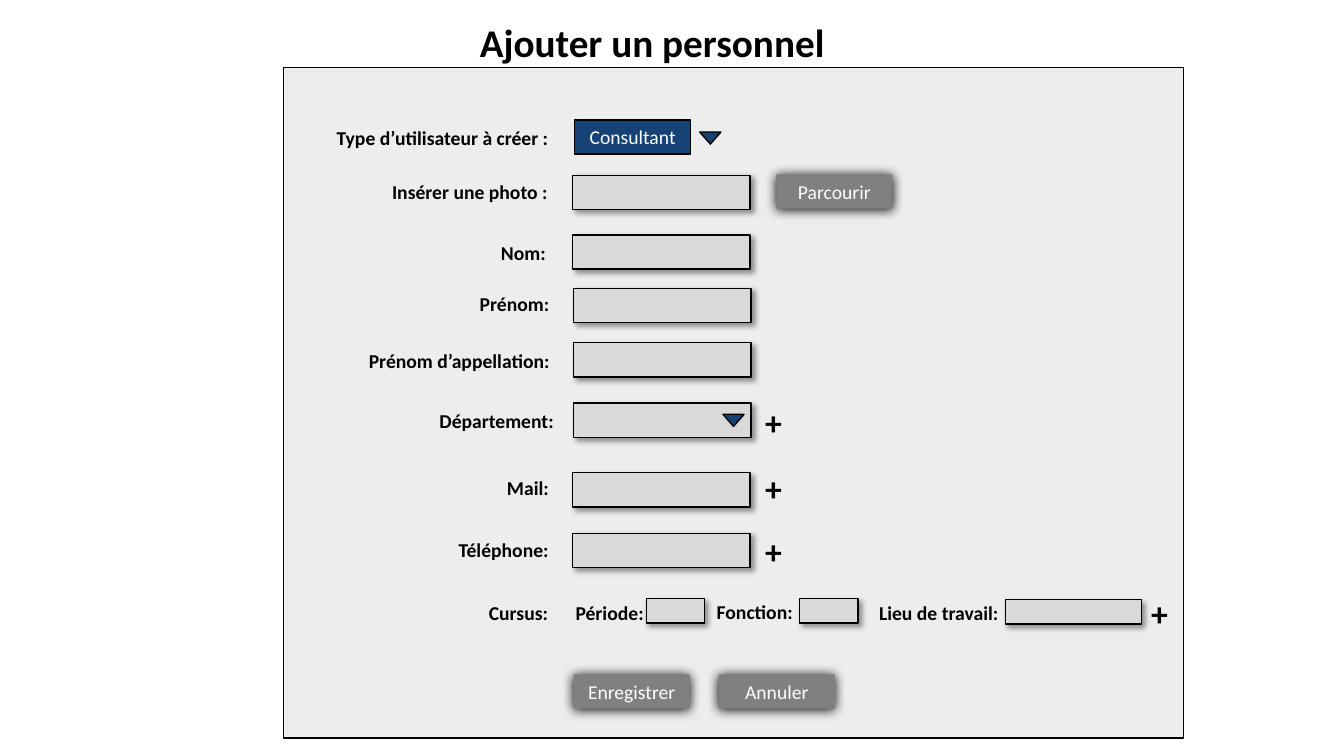
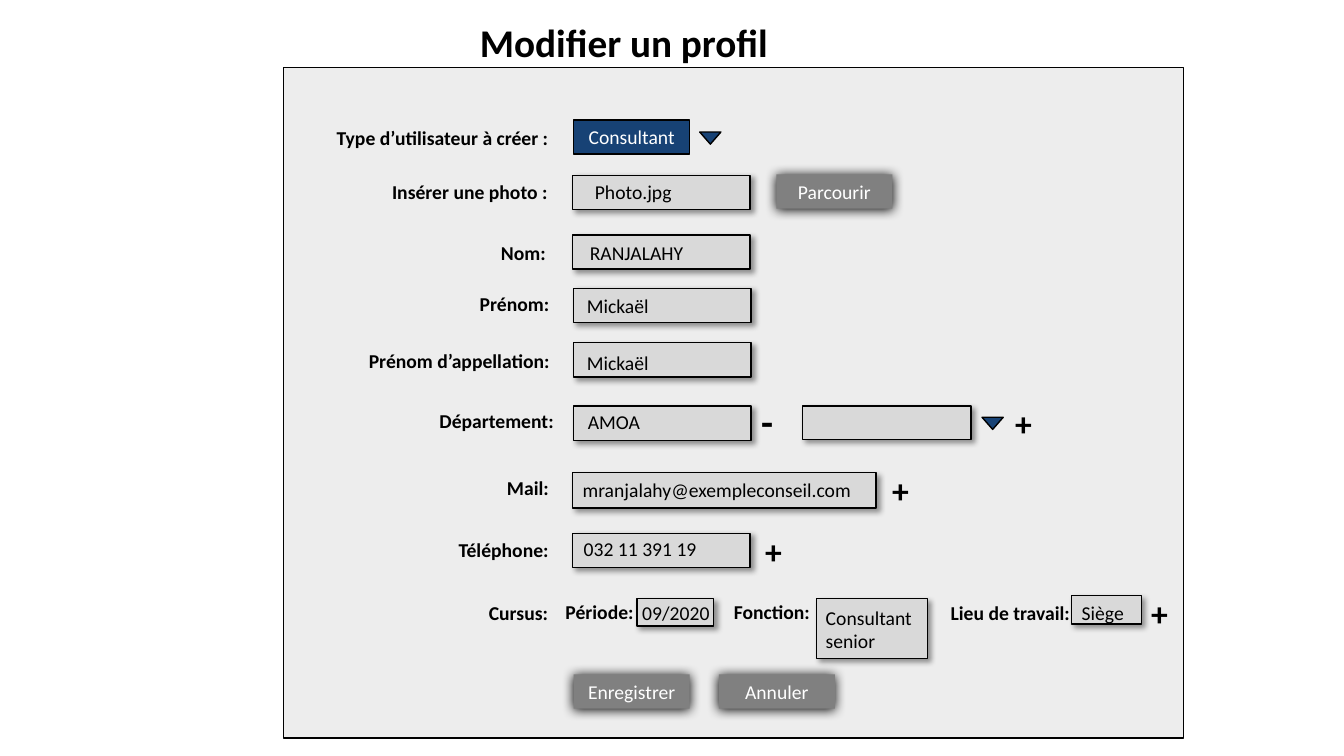
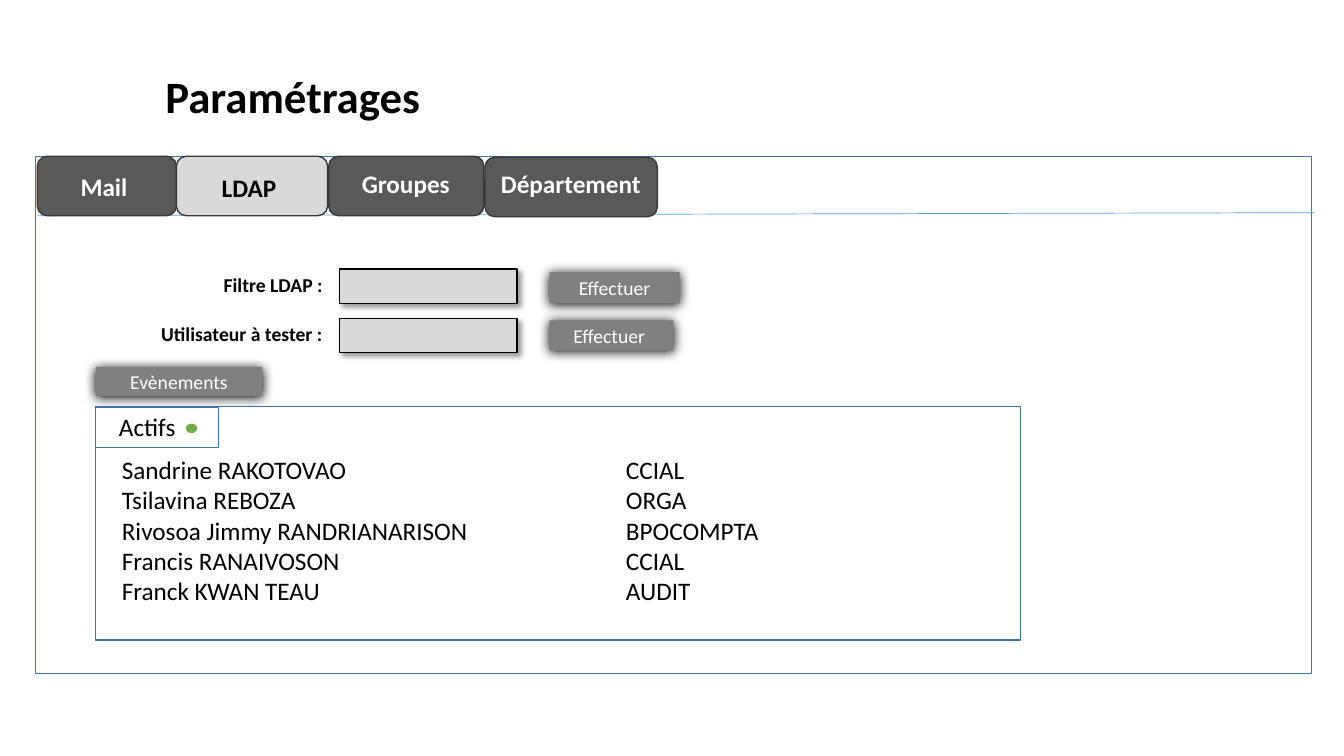
from dataclasses import dataclass

from lxml.etree import SubElement
from pptx import Presentation
from pptx.dml.color import RGBColor
from pptx.enum.shapes import MSO_CONNECTOR, MSO_SHAPE
from pptx.enum.text import MSO_ANCHOR, MSO_AUTO_SIZE, PP_ALIGN
from pptx.oxml.ns import qn
from pptx.util import Inches, Pt


@dataclass(frozen=True)
class Theme:
    font: str = "Calibri"
    black: str = "000000"
    white: str = "FFFFFF"
    panel: str = "EDEDED"
    field: str = "D9D9D9"
    button: str = "808080"
    navy: str = "174275"
    frame: str = "43739E"
    rule: str = "5B9BD5"
    tab: str = "595959"
    tab_edge: str = "3B3838"
    active: str = "70AD47"
    body: int = 14
    large: int = 18
    sign: int = 24
    title: int = 28
    page_title: int = 32


THEME = Theme()
MARGINS = (0.1, 0.05, 0.1, 0.05)
# Shadows: opacity %, blur pt, distance pt, direction in degrees
FIELD_SHADOW = (40, 4, 3, 45)
BUTTON_SHADOW = (100, 8.5, 1, 90)


def set_attributes(target, values):
    for name, value in values.items():
        setattr(target, name, value)


def write(shape, text, size=THEME.body, color=THEME.black, bold=False,
          align=PP_ALIGN.LEFT, anchor=MSO_ANCHOR.TOP, margins=MARGINS,
          auto_size=MSO_AUTO_SIZE.NONE):
    """Fill a shape with text, one paragraph for each line."""
    frame = shape.text_frame
    frame.text = text
    left, top, right, bottom = map(Inches, margins)
    set_attributes(frame, {
        "word_wrap": True, "auto_size": auto_size, "vertical_anchor": anchor,
        "margin_left": left, "margin_top": top,
        "margin_right": right, "margin_bottom": bottom})
    for paragraph in frame.paragraphs:
        paragraph.alignment = align
        for run in paragraph.runs:
            set_attributes(run.font, {"name": THEME.font, "size": Pt(size), "bold": bold})
            run.font.color.rgb = RGBColor.from_string(color)


def add_shadow(shape, opacity, blur, distance, direction):
    effects = shape._element.spPr.find(qn("a:effectLst"))
    shadow = SubElement(effects, qn("a:outerShdw"), {
        "blurRad": str(Pt(blur)), "dist": str(Pt(distance)),
        "dir": str(direction * 60000), "algn": "ctr", "rotWithShape": "0"})
    color = SubElement(shadow, qn("a:srgbClr"), val=THEME.black)
    SubElement(color, qn("a:alpha"), val=str(opacity * 1000))


def add_title(slide, text, left, top, width, height, size):
    title = slide.shapes.title
    set_attributes(title, {"left": Inches(left), "top": Inches(top),
                           "width": Inches(width), "height": Inches(height)})
    write(title, text, size, bold=True)


class Region:
    """Places parts relative to the top left corner of a box."""

    def __init__(self, slide, left, top, width, height):
        self.shapes = slide.shapes
        self.left, self.top = left, top
        self.width, self.height = width, height

    def place(self, x, y, width, height):
        return map(Inches, (self.left + x, self.top + y, width, height))

    def shape(self, x, y, width, height, fill=None, line=None, kind=MSO_SHAPE.RECTANGLE):
        shape = self.shapes.add_shape(kind, *self.place(x, y, width, height))
        shape.shadow.inherit = False
        if fill:
            shape.fill.solid()
            shape.fill.fore_color.rgb = RGBColor.from_string(fill)
        else:
            shape.fill.background()
        if line:
            shape.line.color.rgb = RGBColor.from_string(line)
            shape.line.width = Pt(1)
        else:
            shape.line.fill.background()
        return shape

    def background(self, fill, line):
        return self.shape(0, 0, self.width, self.height, fill, line)

    def text(self, x, y, text, width=2.03, height=0.34, **style):
        box = self.shapes.add_textbox(*self.place(x, y, width, height))
        write(box, text, auto_size=MSO_AUTO_SIZE.SHAPE_TO_FIT_TEXT, **style)
        return box

    def label(self, x, y, text, width=2.03):
        self.text(x, y, text, width, bold=True)

    def sign(self, x, y, text="+", height=0.5, size=THEME.sign):
        self.text(x, y, text, 0.46, height, size=size, bold=True)

    def field(self, x, y, width=1.76, height=0.34, value="", inset=(0.1, 0.05)):
        shape = self.shape(x, y, width, height, THEME.field, THEME.black)
        add_shadow(shape, *FIELD_SHADOW)
        if value:
            write(shape, value, margins=(*inset, 0, 0))

    def button(self, x, y, text, width=1.15, height=0.34):
        shape = self.shape(x, y, width, height, THEME.button)
        add_shadow(shape, *BUTTON_SHADOW)
        write(shape, text, color=THEME.white, align=PP_ALIGN.CENTER,
              anchor=MSO_ANCHOR.MIDDLE)

    def dropdown_arrow(self, x, y):
        arrow = self.shape(x, y, 0.21, 0.12, THEME.navy, THEME.black,
                           MSO_SHAPE.ISOSCELES_TRIANGLE)
        arrow.rotation = 180


# Labels that every profile form has: left, top, text
FORM_LABELS = [
    (0.98, 1.07, "Insérer une photo :"),
    (2.06, 1.67, "Nom:"),
    (1.85, 2.18, "Prénom:"),
    (0.75, 2.74, "Prénom d’appellation:"),
    (1.45, 3.34, "Département:"),
    (2.12, 4.0, "Mail:"),
    (1.64, 4.62, "Téléphone:"),
    (1.94, 5.24, "Cursus:"),
]
FORM_BUTTONS = [(4.89, 1.06, "Parcourir"), (2.88, 6.02, "Enregistrer"),
                (4.32, 6.02, "Annuler")]

# Parts that differ: fields are left, top, width, height, value, text inset
EMPTY_FORM = {
    "type_left": 2.89,
    "labels": [(2.8, 5.24, "Période:"), (4.2, 5.23, "Fonction:"),
               (5.81, 5.24, "Lieu de travail:")],
    "fields": [(2.87, 1.07), (2.87, 1.66), (2.88, 2.19), (2.88, 2.73), (2.88, 3.33),
               (2.87, 4.02), (2.87, 4.62), (3.6, 5.27, 0.58, 0.24),
               (5.12, 5.27, 0.58, 0.24), (7.16, 5.28, 1.35, 0.24)],
    "arrow": (4.36, 3.44),
    "signs": [(4.68, 3.27), (4.68, 3.92), (4.68, 4.55), (8.51, 5.16)],
}
FILLED_FORM = {
    "type_left": 2.88,
    "labels": [(2.7, 5.23, "Période:"), (4.37, 5.23, "Fonction:"),
               (6.52, 5.24, "Lieu de travail:")],
    "fields": [(2.87, 1.07, 1.76, 0.34, "Photo.jpg", (0.22, 0.05)),
               (2.87, 1.66, 1.76, 0.34, "RANJALAHY", (0.17, 0.06)),
               (2.88, 2.19, 1.76, 0.34, "Mickaël", (0.13, 0.06)),
               (2.88, 2.73, 1.76, 0.34, "Mickaël", (0.13, 0.08)),
               (2.88, 3.36, 1.76, 0.34, "AMOA", (0.14, 0.04)),
               (5.15, 3.36, 1.67, 0.33),
               (2.87, 4.02, 3.01, 0.35, "mranjalahy@exempleconseil.com"),
               (2.87, 4.62, 1.76, 0.34, "032 11 391 19", (0.11, 0.04)),
               (3.51, 5.27, 0.76, 0.27, "09/2020", (0.05, 0.02)),
               (5.29, 5.27, 1.1, 0.59, "Consultant senior", (0.09, 0.07)),
               (7.82, 5.24, 0.69, 0.28, "Siège")],
    "arrow": (6.93, 3.47),
    "signs": [(7.16, 3.28), (5.94, 3.94), (4.68, 4.55), (8.51, 5.16),
              (4.64, 3.22, "-", 0.57, THEME.title)],
}


def add_profile_form(slide, title, parts):
    add_title(slide, title, 4.66, 0.13, 3.63, 0.57, THEME.title)
    form = Region(slide, 2.81, 0.67, 8.93, 6.65)
    form.background(THEME.panel, THEME.black)

    # User type selector
    form.label(0.43, 0.53, "Type d’utilisateur à créer :", 2.46)
    user_type = form.shape(parts["type_left"], 0.52, 1.15, 0.34, THEME.navy, THEME.black)
    write(user_type, "Consultant", color=THEME.white, align=PP_ALIGN.CENTER,
          anchor=MSO_ANCHOR.MIDDLE)
    form.dropdown_arrow(4.13, 0.64)

    # Labelled fields and department list
    for label in FORM_LABELS + parts["labels"]:
        form.label(*label)
    for field in parts["fields"]:
        form.field(*field)
    form.dropdown_arrow(*parts["arrow"])

    # Add and remove signs, buttons
    for sign in parts["signs"]:
        form.sign(*sign)
    for button in FORM_BUTTONS:
        form.button(*button)


# Tabs: left, top, width, text, selected, text inset
TABS = [
    (0.02, 0, 1.38, "Mail", False, (0.4, 0.12)),
    (1.4, 0, 1.5, "LDAP", True, (0.42, 0.13)),
    (2.91, 0, 1.54, "Groupes", False, (0.3, 0.09)),
    (4.46, 0.01, 1.71, "Département", False, (0.13, 0.08)),
]
ACTIVE_USERS = [
    ("Sandrine RAKOTOVAO", "CCIAL"),
    ("Tsilavina REBOZA", "ORGA"),
    ("Rivosoa Jimmy RANDRIANARISON", "BPOCOMPTA"),
    ("Francis RANAIVOSON", "CCIAL"),
    ("Franck KWAN TEAU", "AUDIT"),
]


def add_tab_bar(slide, panel):
    rule = slide.shapes.add_connector(
        MSO_CONNECTOR.STRAIGHT, Inches(panel.left + 0.02), Inches(panel.top + 0.59),
        Inches(panel.left + 12.68), Inches(panel.top + 0.56))
    rule.line.color.rgb = RGBColor.from_string(THEME.rule)
    rule.line.width = Pt(0.5)
    SubElement(rule._element.spPr, qn("a:effectLst"))
    for x, y, width, text, selected, inset in TABS:
        tab = panel.shape(x, y, width, 0.59, THEME.field if selected else THEME.tab,
                          THEME.tab_edge, MSO_SHAPE.ROUNDED_RECTANGLE)
        write(tab, text, THEME.large, THEME.black if selected else THEME.white,
              bold=True, margins=(*inset, 0, 0))


def add_active_users(slide):
    users = Region(slide, 0.95, 4.03, 9.17, 2.32)
    users.background(None, THEME.frame)
    heading = users.shape(0, 0.01, 1.22, 0.4, line=THEME.frame)
    write(heading, "Actifs", THEME.large, margins=(0.23, 0.04, 0, 0))
    users.shape(0.9, 0.18, 0.1, 0.08, THEME.active, THEME.active, MSO_SHAPE.OVAL)

    # Names and departments, aligned on a tab stop
    lines = "\n".join("\t".join(user) for user in ACTIVE_USERS)
    listing = users.text(0.16, 0.43, lines, 6.95, 1.62, size=THEME.large)
    for paragraph in listing.text_frame.paragraphs:
        stops = SubElement(paragraph._p.get_or_add_pPr(), qn("a:tabLst"))
        SubElement(stops, qn("a:tab"), pos=str(Inches(5)), algn="l")


def add_settings(slide):
    add_title(slide, "Paramétrages", 1.54, 0.63, 5.35, 0.64, THEME.page_title)
    panel = Region(slide, 0.35, 1.55, 12.66, 5.13)
    panel.background(None, THEME.frame)
    add_tab_bar(slide, panel)

    # Directory filter and user test
    panel.label(1.77, 1.11, "Filtre LDAP :", 1.33)
    panel.label(1.15, 1.59, "Utilisateur à tester :", 1.81)
    for y in (1.12, 1.61):
        panel.field(3.02, y)
    panel.button(5.1, 1.15, "Effectuer", 1.29, 0.31)
    panel.button(5.1, 1.63, "Effectuer ", 1.23, 0.3)
    panel.button(0.6, 2.09, "Evènements", 1.65, 0.29)

    add_active_users(slide)


def main():
    presentation = Presentation()
    presentation.slide_width = Inches(13.33)
    presentation.slide_height = Inches(7.5)
    title_only = presentation.slide_layouts[5]
    add_slide = presentation.slides.add_slide
    add_profile_form(add_slide(title_only), "Ajouter un personnel", EMPTY_FORM)
    add_profile_form(add_slide(title_only), "Modifier un profil", FILLED_FORM)
    add_settings(add_slide(title_only))
    presentation.save("out.pptx")


if __name__ == "__main__":
    main()
